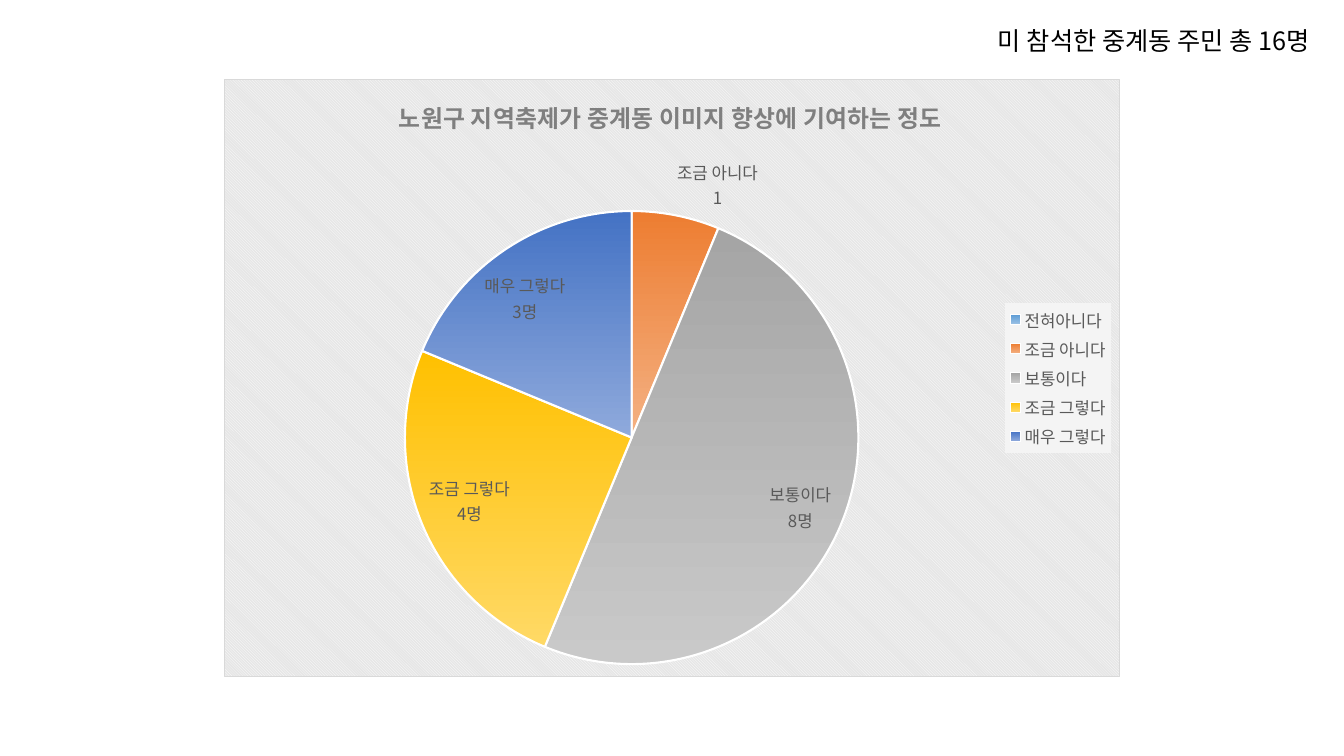
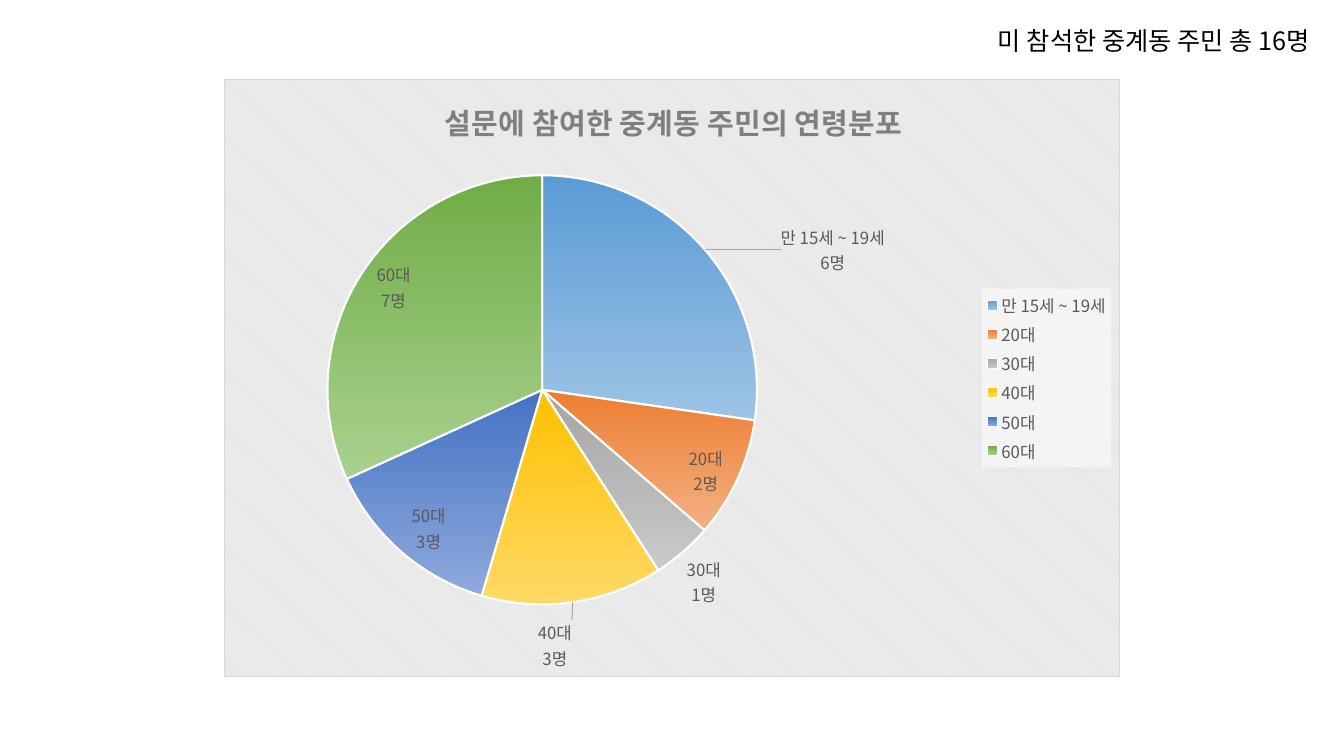
import pptx
import pptx.chart.data
import pptx.dml.color
import pptx.enum.chart
import pptx.enum.text
import pptx.oxml
import pptx.oxml.ns
import pptx.util

RGB = pptx.dml.color.RGBColor
BLACK = RGB(0x00, 0x00, 0x00)
WHITE = RGB(0xFF, 0xFF, 0xFF)
TITLE_GRAY = RGB(0x7F, 0x7F, 0x7F)
LABEL_GRAY = RGB(0x59, 0x59, 0x59)
LEADER_GRAY = RGB(0xA6, 0xA6, 0xA6)
LEGEND_FILL = RGB(0xF4, 0xF4, 0xF4)
PANEL_FILL = RGB(0xE6, 0xE6, 0xE6)
PANEL_BORDER = RGB(0xD9, 0xD9, 0xD9)
SLICE_GRADIENTS = [
    (RGB(0x5B, 0x9B, 0xD5), RGB(0x9D, 0xC3, 0xE6)),
    (RGB(0xED, 0x7D, 0x31), RGB(0xF4, 0xB1, 0x83)),
    (RGB(0xA5, 0xA5, 0xA5), RGB(0xC9, 0xC9, 0xC9)),
    (RGB(0xFF, 0xC0, 0x00), RGB(0xFF, 0xD9, 0x66)),
    (RGB(0x44, 0x72, 0xC4), RGB(0x8F, 0xAA, 0xDC)),
    (RGB(0x70, 0xAD, 0x47), RGB(0xA9, 0xD1, 0x8E)),
]
FONT = "Noto Sans CJK KR"
SLIDE_W, SLIDE_H = pptx.util.Inches(13.33), pptx.util.Inches(7.5)
RESPONDENTS = "미 참석한 중계동 주민 총 16명"

SURVEYS = [
    {
        "title": "노원구 지역축제가 중계동 이미지 향상에 기여하는 정도",
        "title_size": 17,
        "title_at": (0.19, 0.02),
        "pie_at": (0.2, 0.22, 0.51, 0.76),
        "answers": [("전혀아니다", None), ("조금 아니다", 1), ("보통이다", 8),
                    ("조금 그렇다", 4), ("매우 그렇다", 3)],
        "counted_from": 2,
        "label_shifts": {},
    },
    {
        "title": "설문에 참여한 중계동 주민의 연령분포",
        "title_size": 20.7,
        "title_at": (0.24, 0.02),
        "pie_at": (0.11, 0.16, 0.49, 0.72),
        "answers": [("만 15세 ~ 19세", 6), ("20대", 2), ("30대", 1),
                    ("40대", 3), ("50대", 3), ("60대", 7)],
        "counted_from": 0,
        "label_shifts": {0: (0.08, 0.05), 3: (-0.04, 0.02)},
    },
]


def style_font(font, size, color, bold=False):
    font.name, font.size, font.bold = FONT, pptx.util.Pt(size), bold
    font.color.rgb = color


def style_runs(text_frame, size, color, bold=False):
    for paragraph in text_frame.paragraphs:
        for run in paragraph.runs:
            style_font(run.font, size, color, bold)


def chart_xml(tag, content):
    return pptx.oxml.parse_xml(
        f'<c:{tag} {pptx.oxml.ns.nsdecls("c", "a")}>{content}</c:{tag}>')


def solid(color):
    return f'<a:solidFill><a:srgbClr val="{color}"/></a:solidFill>'


def outline(color):
    return f'<a:ln w="{pptx.util.Pt(0.75)}">{solid(color)}</a:ln>'


def manual_layout(shares, inner=False, absolute=True):
    target = '<c:layoutTarget val="inner"/>' if inner else ""
    modes = '<c:xMode val="edge"/><c:yMode val="edge"/>' if absolute else ""
    places = "".join(f'<c:{side} val="{share}"/>' for side, share in zip("xywh", shares))
    return chart_xml("layout", f"<c:manualLayout>{target}{modes}{places}</c:manualLayout>")


def replace_layout(parent, layout, after=None):
    for old in parent.xpath("c:layout"):
        parent.remove(old)
    if after is None:
        parent.insert(0, layout)
    else:
        parent.xpath(after)[0].addnext(layout)


def fill_panel(chart):
    panel = chart_xml(
        "spPr",
        f'<a:pattFill prst="dkDnDiag"><a:fgClr><a:srgbClr val="{WHITE}"/></a:fgClr>'
        f'<a:bgClr><a:srgbClr val="{PANEL_FILL}"/></a:bgClr></a:pattFill>'
        + outline(PANEL_BORDER))
    chart.element.xpath("c:chart")[0].addnext(panel)


def add_title(chart, survey):
    chart.has_title = True
    frame = chart.chart_title.text_frame
    frame.text = survey["title"]
    style_runs(frame, survey["title_size"], TITLE_GRAY, True)
    replace_layout(chart.element.xpath("c:chart/c:title")[0],
                   manual_layout(survey["title_at"]), "c:tx")


def add_legend(chart):
    chart.has_legend = True
    chart.legend.position = pptx.enum.chart.XL_LEGEND_POSITION.RIGHT
    chart.legend.include_in_layout = False
    style_font(chart.legend.font, 12, LABEL_GRAY)
    chart.element.xpath("c:chart/c:legend/c:overlay")[0].addnext(
        chart_xml("spPr", solid(LEGEND_FILL)))


def color_slices(slices, count):
    for index, gradient in enumerate(SLICE_GRADIENTS[:count]):
        look = slices.points[index].format
        look.fill.gradient()
        look.fill.gradient_angle = 270
        for stop, color, position in zip(look.fill.gradient_stops, gradient, (0, 1)):
            stop.color.rgb, stop.position = color, position
        look.line.color.rgb = WHITE
        look.line.width = pptx.util.Pt(1.5)


def label_slices(chart, slices, survey):
    best_fit = pptx.enum.chart.XL_LABEL_POSITION.BEST_FIT
    labels = slices.data_labels
    labels.show_value = labels.show_category_name = True
    labels.position = best_fit
    style_font(labels.font, 12, LABEL_GRAY)
    chart.element.xpath(".//c:ser/c:dLbls/c:showBubbleSize")[0].addnext(
        chart_xml("separator", "\n"))
    for leader_switch in chart.element.xpath(".//c:ser/c:dLbls/c:showLeaderLines"):
        leader_switch.addnext(
            chart_xml("leaderLines", f"<c:spPr>{outline(LEADER_GRAY)}</c:spPr>"))
    for index, (answer, count) in enumerate(survey["answers"]):
        if index >= survey["counted_from"]:
            label = slices.points[index].data_label
            label.text_frame.text = f"{answer}\n{count}명"
            style_runs(label.text_frame, 12, LABEL_GRAY)
            label.position = best_fit
    for index, shift in survey["label_shifts"].items():
        label = chart.element.xpath(f".//c:dLbl[c:idx/@val='{index}']")[0]
        replace_layout(label, manual_layout(shift, absolute=False), "c:idx")


def add_survey(deck, survey):
    slide = deck.slides.add_slide(deck.slide_layouts[6])
    data = pptx.chart.data.CategoryChartData()
    data.categories = [answer for answer, _ in survey["answers"]]
    data.add_series("Series 1", [count for _, count in survey["answers"]])
    width, height = SLIDE_W * 2 // 3, int(SLIDE_H * 0.79)
    chart = slide.shapes.add_chart(
        pptx.enum.chart.XL_CHART_TYPE.PIE, (SLIDE_W - width) // 2,
        (SLIDE_H - height) // 2, width, height, data).chart
    style_font(chart.font, 10, BLACK)
    fill_panel(chart)
    add_title(chart, survey)
    add_legend(chart)
    replace_layout(chart.element.xpath("c:chart/c:plotArea")[0],
                   manual_layout(survey["pie_at"], inner=True))
    pie = chart.plots[0]
    pie.vary_by_categories = True
    color_slices(pie.series[0], len(survey["answers"]))
    label_slices(chart, pie.series[0], survey)

    respondents = slide.shapes.add_textbox(*map(pptx.util.Inches, (9.8, 0.2, 3.7, 0.4)))
    frame = respondents.text_frame
    frame.text = RESPONDENTS
    frame.word_wrap = False
    frame.auto_size = pptx.enum.text.MSO_AUTO_SIZE.SHAPE_TO_FIT_TEXT
    style_runs(frame, 18, BLACK)


def main():
    deck = pptx.Presentation()
    deck.slide_width, deck.slide_height = SLIDE_W, SLIDE_H
    for survey in SURVEYS:
        add_survey(deck, survey)
    deck.save("out.pptx")


if __name__ == "__main__":
    main()
